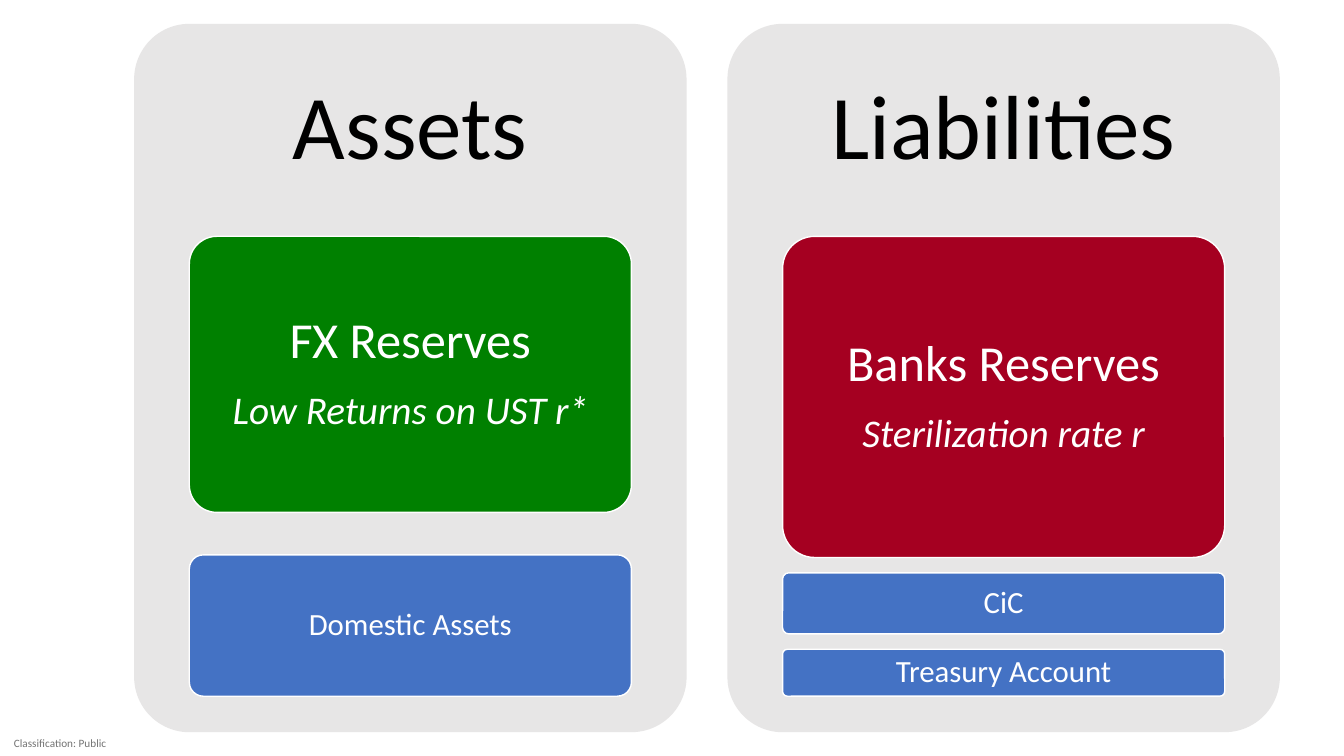
from pptx import Presentation
from pptx.dml.color import RGBColor
from pptx.enum.shapes import MSO_SHAPE
from pptx.enum.text import MSO_ANCHOR, PP_ALIGN
from pptx.util import Pt

ROUNDED = MSO_SHAPE.ROUNDED_RECTANGLE
MIDDLE = MSO_ANCHOR.MIDDLE
CENTER = PP_ALIGN.CENTER

GREY, GREEN, RED, BLUE = "E7E6E6", "008000", "A50021", "4472C4"
WHITE, BLACK, FOOTER_GREY = "FFFFFF", "000000", "737373"


def color(value):
    return RGBColor.from_string(value)


def write(paragraph, text, size=22, fill=WHITE, italic=False, font="Calibri"):
    paragraph.alignment = CENTER
    paragraph.line_spacing = 0.9
    paragraph.space_after = Pt(round(0.43 * size))
    run = paragraph.add_run()
    run.text = text
    run.font.name = font
    run.font.size = Pt(size)
    run.font.italic = italic
    run.font.color.rgb = color(fill)


class BalanceSheet:
    panel_top, panel_width, panel_height = 17, 394.6, 506
    heading_height = 151.8
    block_inset = 39.4

    def __init__(self, slide):
        self.slide = slide

    def fill_text(self, shape, lines, margin):
        frame = shape.text_frame
        frame.word_wrap = True
        frame.vertical_anchor = MIDDLE
        frame.margin_left = frame.margin_right = Pt(margin)
        frame.margin_top = frame.margin_bottom = Pt(margin)
        for index, (text, style) in enumerate(lines):
            paragraph = frame.add_paragraph() if index else frame.paragraphs[0]
            write(paragraph, text, **style)

    def text(self, left, top, width, height, text, margin=0, **style):
        box = self.slide.shapes.add_textbox(Pt(left), Pt(top), Pt(width), Pt(height))
        self.fill_text(box, [(text, style)], margin)

    def box(self, left, top, width, height, fill, outline=None, lines=()):
        shape = self.slide.shapes.add_shape(
            ROUNDED, Pt(left), Pt(top), Pt(width), Pt(height))
        shape.adjustments[0] = 0.1
        shape.shadow.inherit = False
        shape.fill.solid()
        shape.fill.fore_color.rgb = color(fill)
        if outline:
            shape.line.color.rgb = color(outline)
            shape.line.width = Pt(1)
        else:
            shape.line.fill.background()
        self.fill_text(shape, lines, margin=5)

    def column(self, left, heading, gap, blocks):
        self.box(left, self.panel_top, self.panel_width, self.panel_height, GREY)
        self.text(left, self.panel_top, self.panel_width, self.heading_height,
                  heading, margin=19.4, size=65, fill=BLACK)
        top = self.panel_top + self.heading_height
        width = self.panel_width - 2 * self.block_inset
        for height, fill, lines in blocks:
            self.box(left + self.block_inset, top, width, height, fill, WHITE, lines)
            top += height + gap


presentation = Presentation()
presentation.slide_width = Pt(960)
presentation.slide_height = Pt(540)
sheet = BalanceSheet(presentation.slides.add_slide(presentation.slide_layouts[6]))

# Footer
sheet.text(0, 522, 86, 18, "Classification: Public", size=8, fill=FOOTER_GREY)

# Both sides of the balance sheet: height, fill and lines of each block
title = {"size": 36}
subtitle = {"size": 28, "italic": True}
sheet.column(95.8, "Assets", 30.3, [
    (197.2, GREEN, [("FX Reserves", title), ("Low Returns on UST r*", subtitle)]),
    (101, BLUE, [("Domestic Assets", {})]),
])
sheet.column(519.6, "Liabilities", 11, [
    (229.4, RED, [("Banks Reserves", title), ("Sterilization rate r", subtitle)]),
    (43.6, BLUE, [("CiC", {})]),
    (33.5, BLUE, [("Treasury Account", {})]),
])

presentation.save("out.pptx")
